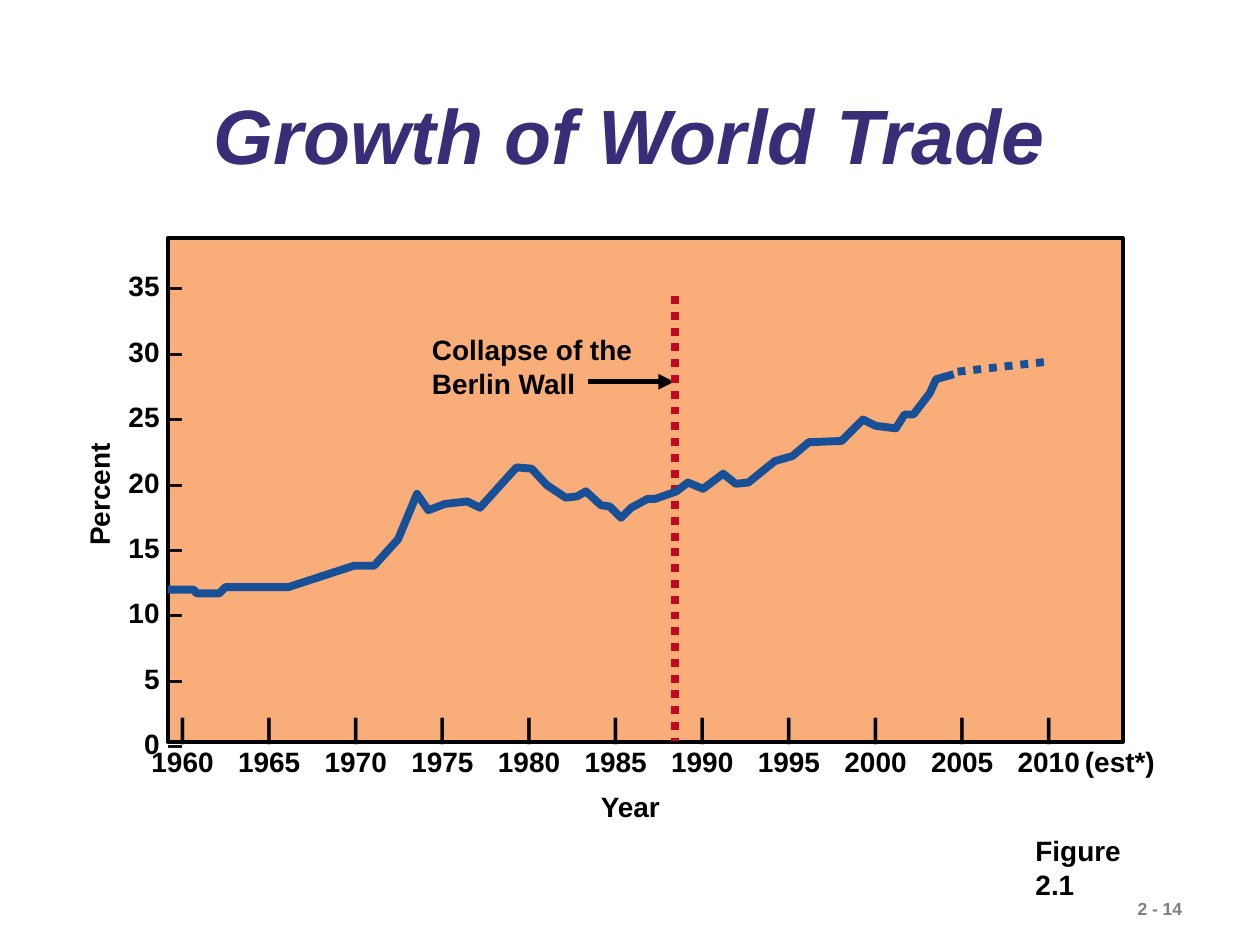
"""Builds the Growth of World Trade slide."""
import pptx
import pptx.chart.data
import pptx.dml.color
import pptx.enum.dml
import pptx.enum.shapes
import pptx.enum.text
import pptx.oxml
import pptx.util
from lxml import etree
from pptx.util import Inches

COLORS = {
    "title": "3A2C76", "text": "000000", "number": "7F7F7F",
    "plot": "F9AD78", "wall": "BF0922", "trade": "175097",
}
TITLE = "Growth of World Trade"
PERCENTS = range(35, -1, -5)
YEARS = range(1960, 2011, 5)
ESTIMATE = "(est*)"
FIRST_TAB, TAB_STEP, ESTIMATE_TAB = 0.39, 0.6875, 7.83
LABELS = [
    ("Year", (4.67, 6.22, 0.68, 0.37), {}),
    ("Percent", (0.28, 3.74, 1.01, 0.37), {"rotation": 270}),
    ("Figure 2.1", (8.12, 6.57, 1.24, 0.37), {}),
    ("Collapse of the Berlin Wall", (3.33, 2.59, 2.05, 0.64), {"wrap": True}),
    ("2 - 14", (8.93, 7.08, 1.07, 0.27), {"size": 10, "color": "number"}),
]
TRADE_POINTS = [
    (1.33, 4.68), (1.54, 4.68), (1.56, 4.71), (1.74, 4.71), (1.79, 4.66), (2.29, 4.66),
    (2.81, 4.49), (2.97, 4.49), (3.16, 4.28), (3.31, 3.92), (3.4, 4.05), (3.53, 4),
    (3.71, 3.98), (3.81, 4.03), (4.1, 3.71), (4.22, 3.72), (4.34, 3.85), (4.49, 3.95),
    (4.58, 3.94), (4.65, 3.9), (4.77, 4.01), (4.84, 4.02), (4.93, 4.11), (5.01, 4.03),
    (5.14, 3.96), (5.2, 3.96), (5.37, 3.9), (5.46, 3.83), (5.58, 3.88), (5.74, 3.76),
    (5.84, 3.84), (5.94, 3.83), (6.15, 3.66), (6.29, 3.62), (6.42, 3.51), (6.68, 3.5),
    (6.85, 3.33), (6.95, 3.38), (7.11, 3.4), (7.18, 3.29), (7.25, 3.29), (7.38, 3.12),
    (7.43, 3.01), (7.57, 2.97),
]


def rgb(name):
    return pptx.dml.color.RGBColor.from_string(COLORS[name])


def set_font(para, size, color="text"):
    para.font.name = "Arial"
    para.font.size = pptx.util.Pt(size)
    para.font.bold = True
    para.font.color.rgb = rgb(color)


def add_child(parent, tag, **attributes):
    return etree.SubElement(parent, pptx.oxml.ns.qn(tag), attributes)


def add_text(page, lines, place, size=16, color="text", wrap=False, rotation=0,
             align=None, spacing=None, tabs=()):
    box = page.shapes.add_textbox(*map(Inches, place))
    box.rotation = rotation
    frame = box.text_frame
    frame.word_wrap = wrap
    frame.auto_size = pptx.enum.text.MSO_AUTO_SIZE.SHAPE_TO_FIT_TEXT
    frame.text = "\n".join(lines)
    for para in frame.paragraphs:
        if tabs:
            tab_list = add_child(para._p.get_or_add_pPr(), "a:tabLst")
            for position in tabs:
                add_child(tab_list, "a:tab", pos=str(Inches(position)), algn="ctr")
        para.alignment = align
        para.line_spacing = spacing
        set_font(para, size, color)


def style_line(line, color, width, dotted=False):
    line.color.rgb = rgb(color)
    line.width = pptx.util.Pt(width)
    if dotted:
        line.dash_style = pptx.enum.dml.MSO_LINE.ROUND_DOT


def add_line(page, start, end, color, width, dotted=False, arrow=False):
    line = page.shapes.add_connector(
        pptx.enum.shapes.MSO_CONNECTOR.STRAIGHT, *map(Inches, start + end))
    style_line(line.line, color, width, dotted)
    if arrow:
        add_child(line.line._get_or_add_ln(), "a:tailEnd", type="triangle")
    add_child(line._element.spPr, "a:effectLst")


def add_title(page):
    title = page.shapes.title
    title.left, title.top, title.width, title.height = map(Inches, (0.75, 0.48, 8.5, 1.25))
    title.text_frame.text = TITLE
    title.text_frame.vertical_anchor = pptx.enum.text.MSO_ANCHOR.MIDDLE
    para = title.text_frame.paragraphs[0]
    para.alignment = pptx.enum.text.PP_ALIGN.CENTER
    para.line_spacing = 0.9
    set_font(para, 44, "title")
    para.font.italic = True


def add_plot(page):
    plot = page.shapes.add_shape(
        pptx.enum.shapes.MSO_SHAPE.RECTANGLE, *map(Inches, (1.33, 1.89, 7.58, 4)))
    plot.shadow.inherit = False
    plot.fill.solid()
    plot.fill.fore_color.rgb = rgb("plot")
    style_line(plot.line, "text", 2.25)


def add_axes(page):
    add_text(page, [f"{percent} –" for percent in PERCENTS], (0.92, 1.83, 0.63, 4.26),
             align=pptx.enum.text.PP_ALIGN.RIGHT, spacing=1.95)
    ticks = "".join("\t|" for _ in YEARS)
    years = "".join(f"\t{year}" for year in YEARS)
    tabs = [FIRST_TAB + TAB_STEP * index for index in range(len(YEARS))]
    add_text(page, [ticks, f"{years}\t{ESTIMATE}"], (0.96, 5.59, 8.31, 0.64),
             tabs=tabs + [ESTIMATE_TAB])


def add_trade(page):
    points = [(Inches(x), Inches(y)) for x, y in TRADE_POINTS]
    builder = page.shapes.build_freeform(*points[0])
    builder.add_line_segments(points[1:], close=False)
    trade = builder.convert_to_shape()
    trade.shadow.inherit = False
    trade.fill.background()
    style_line(trade.line, "trade", 4.5)
    add_line(page, (7.6, 2.95), (8.32, 2.87), "trade", 4.5, dotted=True)


def main():
    deck = pptx.Presentation()
    deck.slide_width, deck.slide_height = Inches(10), Inches(7.5)
    page = deck.slides.add_slide(deck.slide_layouts.get_by_name("Title Only"))
    add_title(page)
    add_plot(page)
    add_axes(page)
    for text, place, options in LABELS:
        add_text(page, [text], place, **options)
    add_line(page, (4.67, 3.03), (5.35, 3.03), "text", 3, arrow=True)
    add_line(page, (5.36, 2.35), (5.36, 5.88), "wall", 4.5, dotted=True)
    add_trade(page)
    deck.save("out.pptx")


if __name__ == "__main__":
    main()
